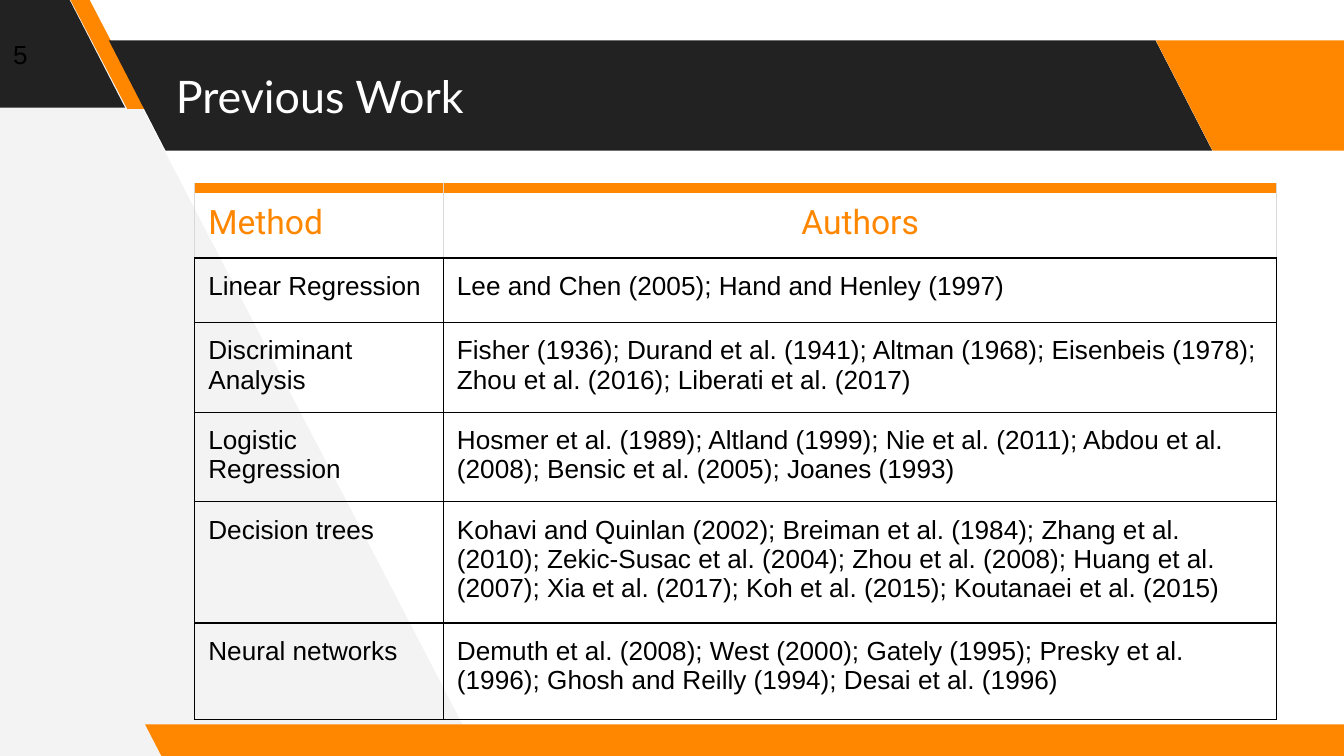
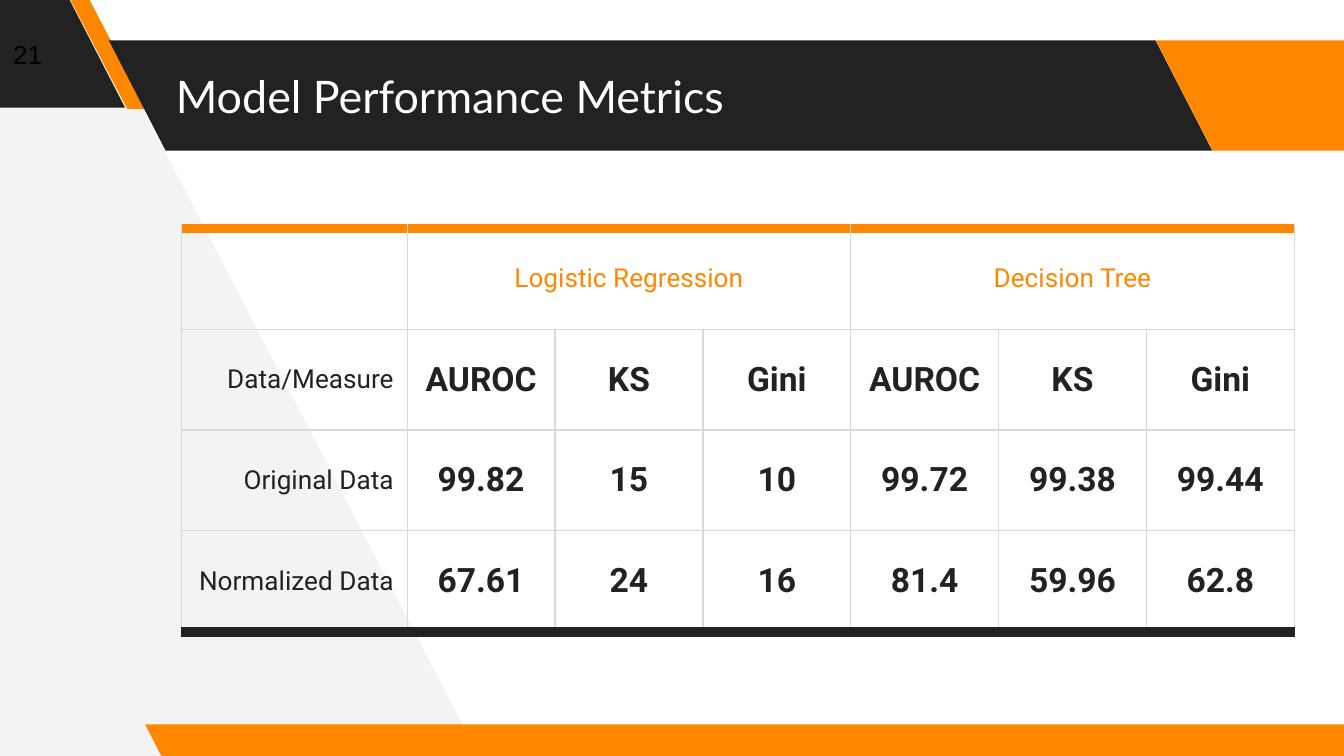
"""Build two slides on credit scoring: previous work and model performance metrics."""
from lxml import etree
from pptx import Presentation
from pptx import util as u
from pptx.dml import color
from pptx.enum import shapes, text
from pptx.oxml import ns

COLORS = {"orange": "FF8700", "dark": "222222", "pale": "F3F3F3",
          "grid": "D9D9D9", "black": "000000", "white": "FFFFFF"}
LEFT, CENTER, RIGHT = text.PP_ALIGN.LEFT, text.PP_ALIGN.CENTER, text.PP_ALIGN.RIGHT
NO_STYLE = "{2D5ABB26-0587-4C30-8999-92F81FD0307C}"

FORMATS = {
    "title": {"name": "Lato", "size": u.Pt(24), "bold": False, "color": "white"},
    "number": {"name": "Arial", "size": u.Pt(14), "bold": False, "color": "black"},
    "header": {"name": "Roboto", "size": u.Pt(18), "bold": False, "color": "orange"},
    "body": {"name": "Arial", "size": u.Pt(14), "bold": False, "color": "black"},
    "group": {"name": "Roboto", "size": u.Pt(14), "bold": False, "color": "orange"},
    "label": {"name": "Roboto", "size": u.Pt(14), "bold": False, "color": "dark"},
    "value": {"name": "Roboto", "size": u.Pt(18), "bold": True, "color": "dark"},
}

BACKDROP = [(3.56, 5.62), (0.62, -0.04), (-0.06, -0.04), (-0.02, 5.66)]
BANDS = [
    (-0.99, -0.02, 1.92, 0.82, 0.515, "dark"),
    (0.52, -0.01, 0.57, 0.82, 0.75, "orange"),
    (0.81, 0.3, 8.21, 0.82, 0.515, "dark"),
    (8.6, 0.3, 1.92, 0.82, 0.515, "orange"),
    (1.08, 5.39, 9.15, 0.25, 0.515, "orange"),
]

METHODS = [
    ("Method", "Authors"),
    ("Linear Regression", "Lee and Chen (2005); Hand and Henley (1997)"),
    ("Discriminant Analysis",
     "Fisher (1936); Durand et al. (1941); Altman (1968); Eisenbeis (1978); "
     "Zhou et al. (2016); Liberati et al. (2017)"),
    ("Logistic Regression",
     "Hosmer et al. (1989); Altland (1999); Nie et al. (2011); Abdou et al. (2008); "
     "Bensic et al. (2005); Joanes (1993)"),
    ("Decision trees",
     "Kohavi and Quinlan (2002); Breiman et al. (1984); Zhang et al. (2010); "
     "Zekic-Susac et al. (2004); Zhou et al. (2008); Huang et al. (2007); "
     "Xia et al. (2017); Koh et al. (2015); Koutanaei et al. (2015)"),
    ("Neural networks",
     "Demuth et al. (2008); West (2000); Gately (1995); Presky et al. (1996); "
     "Ghosh and Reilly (1994); Desai et al. (1996)"),
]
METRICS = [
    ("", "Logistic Regression", "", "", "Decision Tree", "", ""),
    ("Data/Measure",) + ("AUROC", "KS", "Gini") * 2,
    ("Original Data", "99.82", "15", "10", "99.72", "99.38", "99.44"),
    ("Normalized Data", "67.61", "24", "16", "81.4", "59.96", "62.8"),
]

SLIDES = [
    {"title": "Previous Work", "number": "5", "rows": METHODS, "at": (1.45, 1.4, 8.05, 3.96),
     "widths": [1.85, 6.2], "heights": [0.52, 0.48, 0.58, 0.62, 0.81, 0.72],
     "merges": [], "header": "header", "columns": ["body", "body"],
     "aligns": [LEFT, LEFT], "header_aligns": [LEFT, CENTER],
     "anchor": text.MSO_ANCHOR.TOP, "padding": 0.1,
     "grid": "black", "closing": ("black", 0.75)},
    {"title": "Model Performance Metrics", "number": "21", "rows": METRICS,
     "at": (1.35, 1.7, 8.29, 3),
     "widths": [1.68] + [1.1] * 6, "heights": [0.75] * 4,
     "merges": [(1, 3), (4, 6)], "header": "group", "columns": ["label"] + ["value"] * 6,
     "aligns": [RIGHT] + [CENTER] * 6, "header_aligns": [CENTER] * 7,
     "anchor": text.MSO_ANCHOR.MIDDLE, "padding": 0.07,
     "grid": "grid", "closing": ("dark", 6)},
]


def write(frame, words, style, align=LEFT):
    """Put one formatted paragraph in a text frame."""
    para = frame.paragraphs[0]
    para.alignment = align
    para.line_spacing = 1.0
    para.space_before = para.space_after = u.Pt(0)
    span = para.add_run()
    span.text = words
    for key, value in FORMATS[style].items():
        if key == "color":
            span.font.color.rgb = color.RGBColor.from_string(COLORS[value])
        else:
            setattr(span.font, key, value)


def draw_borders(cell, borders):
    """Draw the left, right, top and bottom borders of a cell, in that order."""
    properties = cell._tc.get_or_add_tcPr()
    for position, (side, (shade, points)) in enumerate(zip("LRTB", borders)):
        line = etree.Element(ns.qn(f"a:ln{side}"), w=str(u.Pt(points)))
        fill = etree.SubElement(line, ns.qn("a:solidFill"))
        etree.SubElement(fill, ns.qn("a:srgbClr"), val=COLORS[shade])
        properties.insert(position, line)


deck = Presentation()
deck.slide_width = u.Inches(10)
deck.slide_height = u.Inches(10) * 9 // 16

for content in SLIDES:
    page = deck.slides.add_slide(deck.slide_layouts[6])

    points = [(u.Inches(x), u.Inches(y)) for x, y in BACKDROP]
    outline = page.shapes.build_freeform(*points[0])
    outline.add_line_segments(points[1:], close=True)
    decorations = [(outline.convert_to_shape(), "pale")]
    for *place, slant, shade in BANDS:
        band = page.shapes.add_shape(shapes.MSO_SHAPE.PARALLELOGRAM, *map(u.Inches, place))
        band.adjustments[0] = slant
        band._element.spPr.xfrm.set("flipH", "1")
        decorations.append((band, shade))
    for shape, shade in decorations:
        shape.shadow.inherit = False
        shape.fill.solid()
        shape.fill.fore_color.rgb = color.RGBColor.from_string(COLORS[shade])
        shape.line.fill.background()

    for style, place in (("title", (1.21, 0.3, 7.35, 0.82)), ("number", (0, 0.19, 0.6, 0.42))):
        box = page.shapes.add_textbox(*map(u.Inches, place))
        frame = box.text_frame
        frame.word_wrap = True
        frame.vertical_anchor = text.MSO_ANCHOR.MIDDLE
        for side in ("left", "right", "top", "bottom"):
            setattr(frame, f"margin_{side}", u.Inches(0.1))
        write(frame, content[style], style)

    rows, widths, heights = content["rows"], content["widths"], content["heights"]
    holder = page.shapes.add_table(len(rows), len(widths), *map(u.Inches, content["at"]))
    table = holder.table
    table.first_row = table.horz_banding = False
    table._tbl.tblPr[0].text = NO_STYLE
    for column, width in zip(table.columns, widths):
        column.width = u.Inches(width)
    for row, height in zip(table.rows, heights):
        row.height = u.Inches(height)
    holder.width, holder.height = map(u.Inches, content["at"][2:])
    for first, last in content["merges"]:
        table.cell(0, first).merge(table.cell(0, last))

    for r, row in enumerate(rows):
        is_header = r == 0
        styles = [content["header"]] * len(row) if is_header else content["columns"]
        aligns = content["header_aligns" if is_header else "aligns"]
        side = ("grid" if is_header else content["grid"], 0.75)
        inner = (content["grid"], 0.75)
        top = ("orange", 6) if is_header else inner
        bottom = content["closing"] if r == len(rows) - 1 else inner
        padding = u.Inches(0.07 if is_header else content["padding"])
        layout = {"margin_left": u.Inches(0.1), "margin_right": u.Inches(0.1),
                  "margin_top": padding, "margin_bottom": padding,
                  "vertical_anchor": text.MSO_ANCHOR.MIDDLE if is_header else content["anchor"]}
        for c, words in enumerate(row):
            cell = table.cell(r, c)
            cell.fill.background()
            if cell.is_spanned:
                continue
            for key, value in layout.items():
                setattr(cell, key, value)
            draw_borders(cell, (side, side, top, bottom))
            if words:
                write(cell.text_frame, words, styles[c], aligns[c])

deck.save("out.pptx")
